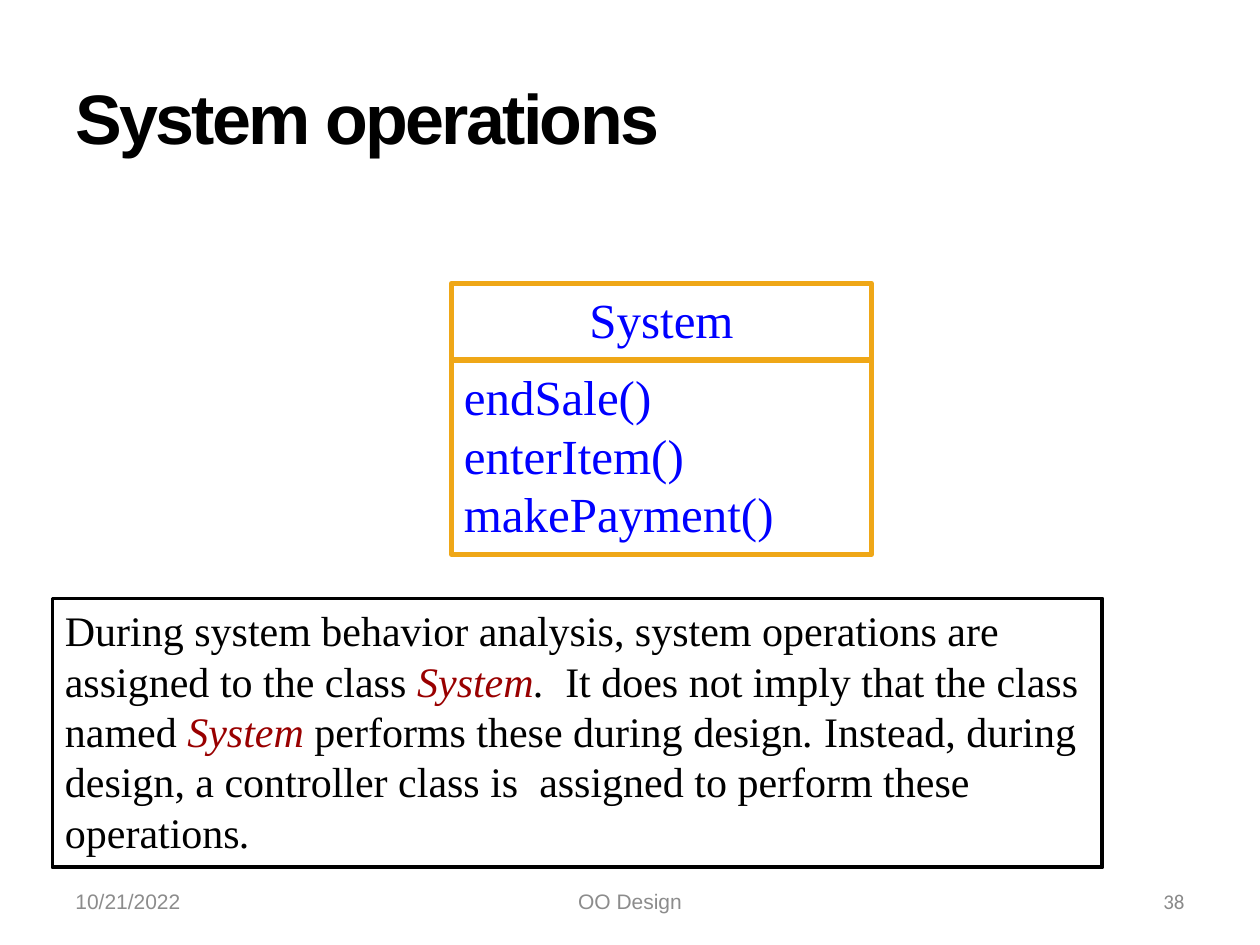
from pptx import Presentation
from pptx.dml.color import RGBColor
from pptx.enum.shapes import MSO_SHAPE as Shape
from pptx.enum.text import MSO_ANCHOR as Anchor, MSO_AUTO_SIZE as AutoSize, PP_ALIGN as Align
from pptx.util import Inches, Pt

BLACK = RGBColor(0x00, 0x00, 0x00)
BLUE = RGBColor(0x00, 0x00, 0xFF)
RED = RGBColor(0x99, 0x00, 0x00)
AMBER = RGBColor(0xEF, 0xA7, 0x17)
GREY = RGBColor(0x8C, 0x8C, 0x8C)
PAGE_GREY = RGBColor(0x89, 0x89, 0x89)
SANS, SERIF, NUMBER = "Arial", "Times New Roman", "Calibri"
COLUMNS, ROWS = 120, 90


class Composer:
    def __init__(self, deck):
        self.page = deck.slides.add_slide(deck.slide_layouts[6])
        self.column = deck.slide_width / COLUMNS
        self.row = deck.slide_height / ROWS

    def area(self, left, top, width, height):
        return (round(left * self.column), round(top * self.row),
                round(width * self.column), round(height * self.row))

    def span(self, para, text, font, size, color, bold=False, italic=False):
        span = para.add_run()
        span.text = text
        span.font.name = font
        span.font.size = Pt(size)
        span.font.color.rgb = color
        span.font.bold = bold
        span.font.italic = italic
        return span

    def label(self, place, text, font, size, color, align=Align.LEFT, bold=False, spacing=0):
        frame = self.page.shapes.add_textbox(*self.area(*place)).text_frame
        frame.word_wrap = True
        frame.vertical_anchor = Anchor.MIDDLE
        para = frame.paragraphs[0]
        para.alignment = align
        span = self.span(para, text, font, size, color, bold)
        if spacing:
            span._r.get_or_add_rPr().set("spc", str(round(spacing * 100)))

    def frame_box(self, place, line_color, line_width, size, paragraphs, align=Align.LEFT):
        box = self.page.shapes.add_shape(Shape.RECTANGLE, *self.area(*place))
        box.shadow.inherit = False
        box.fill.background()
        box.line.color.rgb = line_color
        box.line.width = Pt(line_width)
        frame = box.text_frame
        frame.word_wrap = True
        frame.auto_size = AutoSize.SHAPE_TO_FIT_TEXT
        frame.vertical_anchor = Anchor.TOP
        for index, spans in enumerate(paragraphs):
            para = frame.add_paragraph() if index else frame.paragraphs[0]
            para.alignment = align
            for text, color, italic in spans:
                self.span(para, text, SERIF, size, color, italic=italic)


def main():
    deck = Presentation()
    deck.slide_width, deck.slide_height = Inches(10), Inches(7.5)
    composer = Composer(deck)

    composer.label((6, 83.4, 28, 4.8), "10/21/2022", SANS, 12, GREY)
    composer.label((41, 83.4, 38, 4.8), "OO Design", SANS, 12, GREY, Align.CENTER)
    composer.label((86, 83.4, 28, 4.8), "38", NUMBER, 12, PAGE_GREY, Align.RIGHT)
    composer.label((6, 3.6, 108, 15), "System operations", SANS, 40, BLACK,
                   bold=True, spacing=-1.5)

    operations = ["endSale()", "enterItem()", "makePayment()"]
    composer.frame_box((43, 27, 40, 7.3), AMBER, 3, 28,
                       [[("System", BLUE, False)]], Align.CENTER)
    composer.frame_box((43, 34.3, 40, 18.5), AMBER, 3, 28,
                       [[(name, BLUE, False)] for name in operations])

    explanation = [
        ("During system behavior analysis, system operations are "
         "assigned to the class ", BLACK, False),
        ("System", RED, True),
        (".  ", BLACK, True),
        ("It does not imply that the class named ", BLACK, False),
        ("System", RED, True),
        (" performs these during design", BLACK, False),
        (". ", BLACK, True),
        ("Instead, during design, a controller class is  assigned to "
         "perform these operations", BLACK, False),
        (".", BLACK, True),
    ]
    composer.frame_box((5, 57, 100, 25.6), BLACK, 2.25, 24, [explanation])

    deck.save("out.pptx")


if __name__ == "__main__":
    main()
